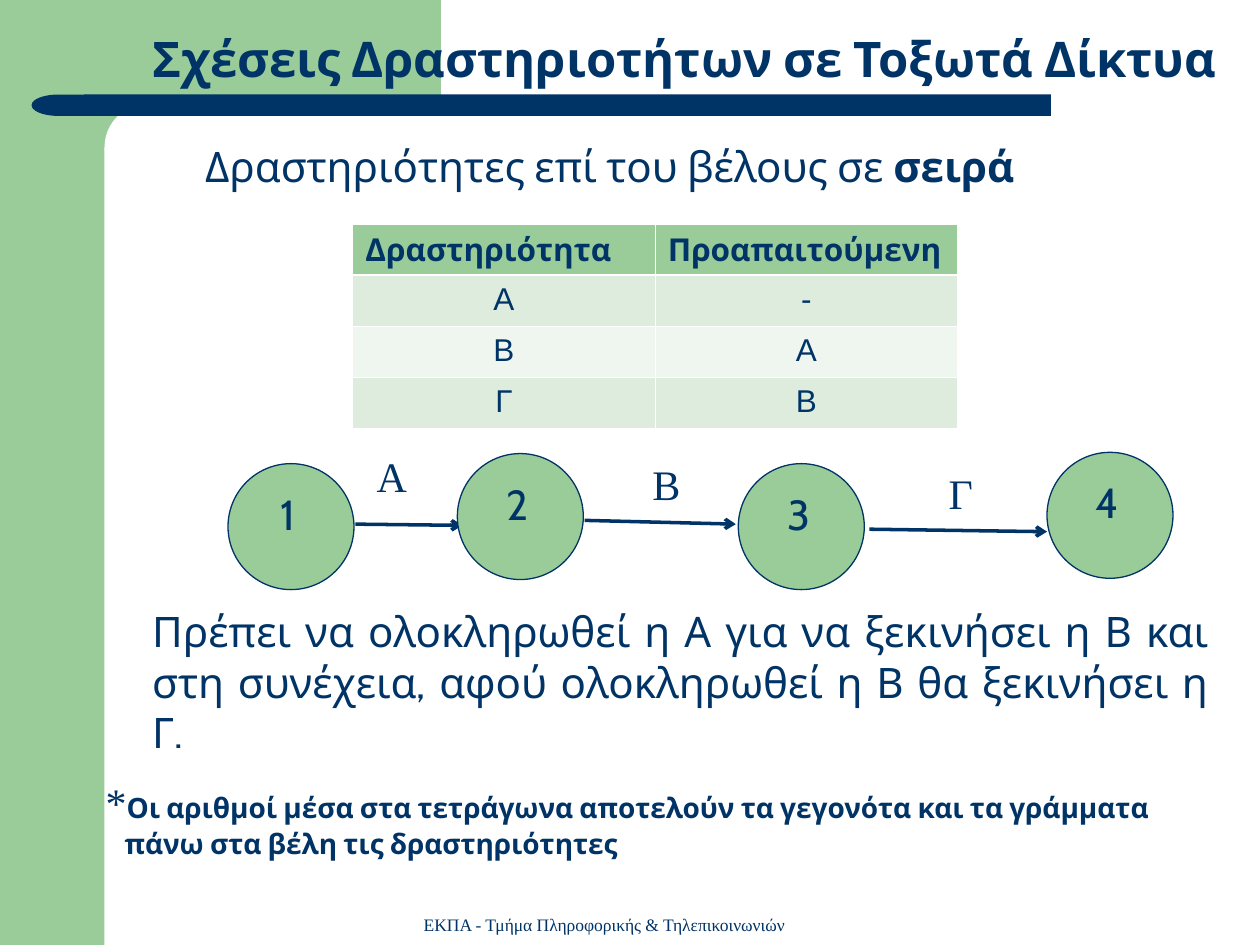
import collections

import pptx
import pptx.util
from lxml import etree
from pptx.dml.color import RGBColor
from pptx.enum.shapes import MSO_CONNECTOR, MSO_SHAPE
from pptx.enum.text import MSO_ANCHOR, MSO_AUTO_SIZE, PP_ALIGN
from pptx.oxml.ns import qn

NAVY = RGBColor(0x00, 0x33, 0x66)
GREEN = RGBColor(0x99, 0xCC, 0x99)
BANDS = [RGBColor(0xDE, 0xEC, 0xDE), RGBColor(0xEF, 0xF6, 0xEF)]
WHITE = RGBColor(0xFF, 0xFF, 0xFF)
SANS, SERIF, TABLE_FONT = "Cabin", "Times New Roman", "Arial"

# The slide is a grid of 100 columns by 75 rows of square units.
COLUMNS, ROWS = 100, 75
UNIT = pptx.util.Inches(0.1)

Box = collections.namedtuple("Box", "left top width height")


def units(*lengths):
    return [round(length * UNIT) for length in lengths]


def within(box, left, top, width, height):
    """Give a box whose corner is measured from the corner of another."""
    return Box(box.left + left, box.top + top, width, height)


def add_run(paragraph, text, size=24, font=SANS, bold=False):
    run = paragraph.add_run()
    run.text = text
    run.font.size = pptx.util.Pt(size)
    run.font.name = font
    run.font.bold = bold
    run.font.color.rgb = NAVY


def write(text_frame, text, align=PP_ALIGN.LEFT, anchor=MSO_ANCHOR.TOP, **run_format):
    text_frame.word_wrap = True
    text_frame.vertical_anchor = anchor
    paragraph = text_frame.paragraphs[0]
    paragraph.alignment = align
    add_run(paragraph, text, **run_format)
    return paragraph


def add_text(slide, box, text, **text_format):
    text_frame = slide.shapes.add_textbox(*units(*box)).text_frame
    write(text_frame, text, **text_format)
    return text_frame


def add_figure(slide, kind, box, fill, line=None):
    shape = slide.shapes.add_shape(kind, *units(*box))
    shape.shadow.inherit = False
    shape.fill.solid()
    shape.fill.fore_color.rgb = fill
    if line is None:
        shape.line.fill.background()
    else:
        shape.line.color.rgb = line
        shape.line.width = pptx.util.Pt(0.75)
    return shape


def add_arrow(slide, start, end):
    arrow = slide.shapes.add_connector(MSO_CONNECTOR.STRAIGHT, *units(*start, *end))
    arrow.line.color.rgb = NAVY
    arrow.line.width = pptx.util.Pt(2)
    etree.SubElement(arrow.line._get_or_add_ln(), qn("a:tailEnd"), type="arrow")
    etree.SubElement(arrow._element.spPr, qn("a:effectLst"))


def add_frame(slide, box):
    """Draw the green margin and corner, and the navy bar under the title."""
    side = 8.3
    add_figure(slide, MSO_SHAPE.RECTANGLE, within(box, 0, 0, side, box.height), GREEN)
    add_figure(slide, MSO_SHAPE.RECTANGLE, within(box, 7.5, 0, 27.5, 11.7), GREEN)
    corner = add_figure(slide, MSO_SHAPE.ROUNDED_RECTANGLE,
                        within(box, side, side, 55.8, 6.7), WHITE)
    corner.adjustments[0] = 0.5
    add_figure(slide, MSO_SHAPE.RECTANGLE, within(box, 6.7, 7.5, 76.7, 1.7), NAVY)
    cap = add_figure(slide, MSO_SHAPE.FLOWCHART_DELAY, within(box, 2.5, 7.5, 4.3, 1.7), NAVY)
    cap.rotation = 180


def add_title(slide, box, text):
    """Fill the title placeholder and bring it in front of the frame."""
    title = slide.shapes.title
    slide.shapes._spTree.append(title._element)
    title.left, title.top, title.width, title.height = units(*box)
    title.text_frame.auto_size = MSO_AUTO_SIZE.NONE
    paragraph = write(title.text_frame, text, align=PP_ALIGN.RIGHT,
                      anchor=MSO_ANCHOR.BOTTOM, size=28, bold=True)
    paragraph.line_spacing = 0.9


def set_borders(cell, **widths):
    properties = cell._tc.get_or_add_tcPr()
    fill = properties[0]
    for side in ("lnL", "lnR", "lnT", "lnB"):
        width = pptx.util.Pt(widths.get(side, 0.45))
        border = etree.Element(qn("a:" + side), w=str(width))
        solid = etree.SubElement(border, qn("a:solidFill"))
        etree.SubElement(solid, qn("a:srgbClr"), val=str(WHITE))
        fill.addprevious(border)


def add_activity_table(slide, box, rows):
    table = slide.shapes.add_table(len(rows), len(rows[0]), *units(*box)).table
    for row_index, values in enumerate(rows):
        header = row_index == 0
        for column_index, value in enumerate(values):
            cell = table.cell(row_index, column_index)
            cell.fill.solid()
            cell.fill.fore_color.rgb = GREEN if header else BANDS[(row_index - 1) % 2]
            set_borders(cell, lnT=1.47 if row_index == 1 else 0.45,
                        lnB=1.47 if header else 0.45)
            write(cell.text_frame, value, size=18, bold=header,
                  font=SANS if header else TABLE_FONT,
                  align=PP_ALIGN.LEFT if header else PP_ALIGN.CENTER)


def add_network(slide, box, events, activities):
    """Draw numbered events at (left, top), joined by lettered arrows."""
    diameter = 10
    for start, end, letter, left, top in activities:
        add_arrow(slide, within(box, *start, 0, 0)[:2], within(box, *end, 0, 0)[:2])
        add_text(slide, within(box, left, top, 4.3, 5), letter, font=SERIF)
    for number, (left, top) in enumerate(events, start=1):
        event = add_figure(slide, MSO_SHAPE.OVAL,
                           within(box, left, top, diameter, diameter), GREEN, NAVY)
        event.text_frame.margin_right = pptx.util.Inches(0.14)
        write(event.text_frame, str(number), align=PP_ALIGN.CENTER)


def add_footnote(slide, box, first_line, second_line):
    text_frame = add_text(slide, box, "*", font=SERIF)
    add_run(text_frame.paragraphs[0], first_line, size=16, bold=True)
    paragraph = text_frame.add_paragraph()
    paragraph._p.get_or_add_pPr().set("marL", str(pptx.util.Inches(0.15)))
    add_run(paragraph, second_line, size=16, bold=True)


def main():
    presentation = pptx.Presentation()
    presentation.slide_width, presentation.slide_height = units(COLUMNS, ROWS)
    slide = presentation.slides.add_slide(presentation.slide_layouts[5])

    add_frame(slide, Box(0, 0, COLUMNS, ROWS))
    add_title(slide, Box(3.3, 2.5, 94.2, 5), "Σχέσεις Δραστηριοτήτων σε Τοξωτά Δίκτυα")
    subtitle = add_text(slide, Box(15.3, 10.7, 67.7, 5), "Δραστηριότητες επί του βέλους σε ")
    add_run(subtitle.paragraphs[0], "σειρά", bold=True)

    add_activity_table(slide, Box(28, 17.8, 48, 16.2), [
        ("Δραστηριότητα", "Προαπαιτούμενη"),
        ("Α", "-"),
        ("Β", "A"),
        ("Γ", "B"),
    ])
    add_network(
        slide, Box(18.1, 35.3, 75, 11.5),
        events=[(0, 1.5), (18.2, 0.7), (40.5, 1.5), (65, 0.6)],
        activities=[
            ((10.1, 6.3), (18.6, 6.4), "Α", 10.8, 0),
            ((28.3, 6), (40.3, 6.3), "Β", 32.7, 0.6),
            ((50.9, 6.7), (65, 6.9), "Γ", 56.2, 1.3),
        ])

    add_text(slide, Box(11.1, 47.6, 85.8, 13),
             "Πρέπει να ολοκληρωθεί η Α για να ξεκινήσει η Β και στη συνέχεια, "
             "αφού ολοκληρωθεί η Β θα ξεκινήσει η Γ.", align=PP_ALIGN.JUSTIFY)
    add_footnote(slide, Box(7.4, 61.1, 89, 7.7),
                 "Οι αριθμοί μέσα στα τετράγωνα αποτελούν τα γεγονότα και τα γράμματα",
                 "πάνω στα βέλη τις δραστηριότητες")
    add_text(slide, Box(32.1, 72, 31.7, 2.7), "ΕΚΠΑ - Τμήμα Πληροφορικής & Τηλεπικοινωνιών",
             align=PP_ALIGN.CENTER, anchor=MSO_ANCHOR.BOTTOM, size=10, font=SERIF)

    presentation.save("out.pptx")


if __name__ == "__main__":
    main()
